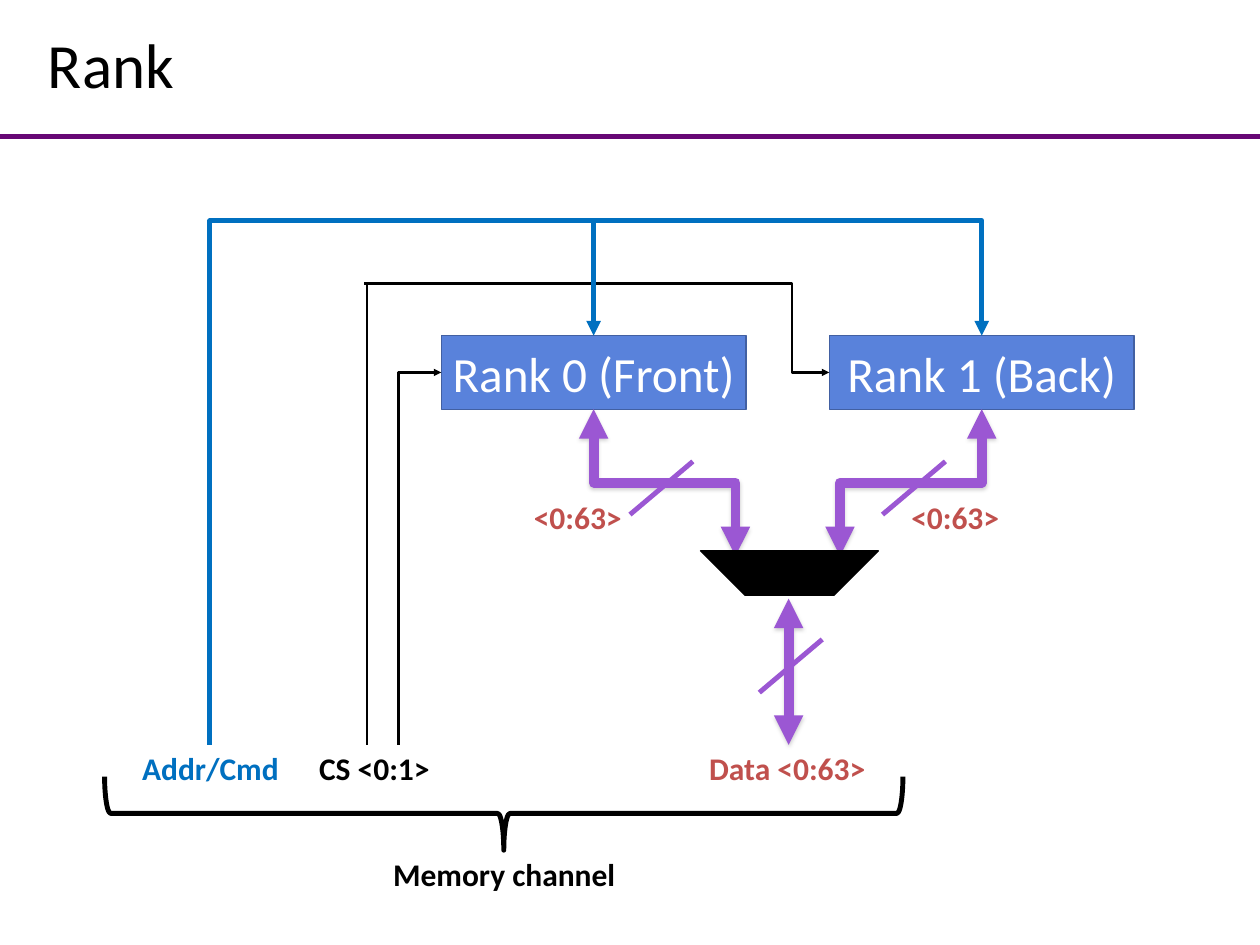
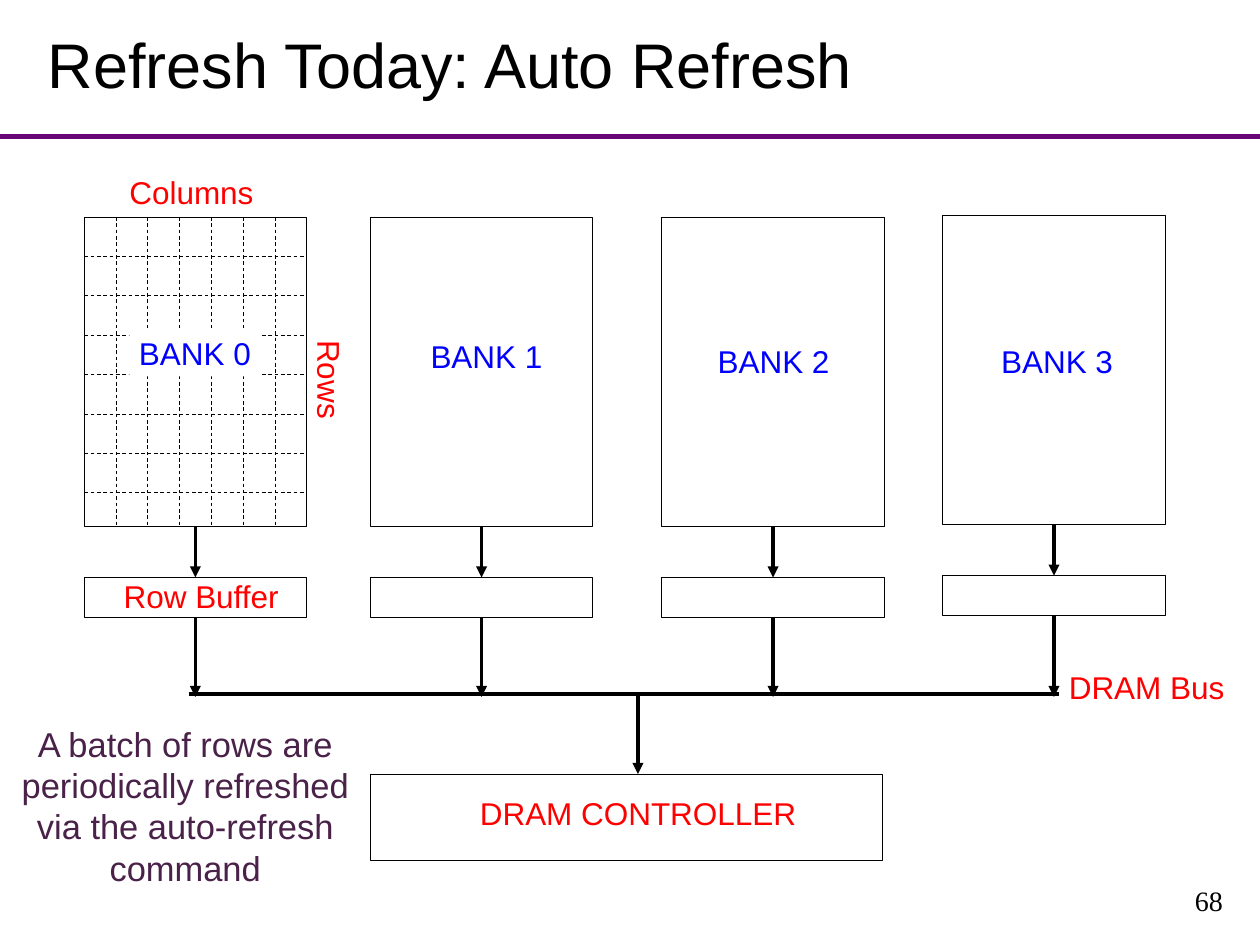
from lxml import etree
from pptx import Presentation
from pptx.dml.color import RGBColor
from pptx.enum.dml import MSO_LINE
from pptx.enum.shapes import MSO_CONNECTOR, MSO_SHAPE
from pptx.enum.text import MSO_ANCHOR, MSO_AUTO_SIZE, PP_ALIGN
from pptx.oxml.ns import qn
from pptx.util import Inches, Pt

STRAIGHT, ELBOW = MSO_CONNECTOR.STRAIGHT, MSO_CONNECTOR.ELBOW
RECTANGLE, STRIPE, BRACE = MSO_SHAPE.RECTANGLE, MSO_SHAPE.DIAGONAL_STRIPE, MSO_SHAPE.RIGHT_BRACE
LEFT, CENTER, RIGHT = PP_ALIGN.LEFT, PP_ALIGN.CENTER, PP_ALIGN.RIGHT
MIDDLE, TOP = MSO_ANCHOR.MIDDLE, MSO_ANCHOR.TOP
NO_FIT = MSO_AUTO_SIZE.NONE
DASH = MSO_LINE.DASH
TOP_SIDE, BOTTOM_SIDE = 0, 2

WIDTH, HEIGHT = 14.22, 10.67
TITLE_AREA = (0.44, 0.13, 13.47, 1.27)
RULE_Y = 1.54

BLACK, WHITE, RED, BLUE = "000000", "FFFFFF", "FF0000", "0000FF"
RULE, PLUM = "670775", "4A2249"
RANK_FILL, RANK_EDGE = "5982DB", "4260A2"
COMMAND, DATA, DATA_LABEL = "0070C0", "9B57D3", "C0504D"

RANK_TEXT = {"name": "Calibri", "size": Pt(40)}
SIGNAL_TEXT = {"name": "Calibri", "size": Pt(25.6), "bold": True}
BANK_TEXT = {"name": "Arial", "size": Pt(25.6)}
NOTE_TEXT = {"name": "Arial", "size": Pt(28)}
NUMBER_TEXT = {"name": "Times New Roman", "size": Pt(22.8)}


def rgb(value):
    return RGBColor.from_string(value)


def inches(lengths):
    return [Inches(length) for length in lengths]


def write(shape, lines, style, color, align=CENTER, anchor=TOP, wrap=True):
    frame = shape.text_frame
    frame.word_wrap = wrap
    frame.vertical_anchor = anchor
    frame.auto_size = NO_FIT
    frame.text = lines
    for para in frame.paragraphs:
        para.alignment = align
        for name, value in style.items():
            setattr(para.font, name, value)
        para.font.color.rgb = rgb(color)


def add_label(page, area, text, style, color, rotation=0, **layout):
    box = page.shapes.add_textbox(*inches(area))
    box.rotation = rotation
    write(box, text, style, color, **layout)


def add_block(page, area, kind=RECTANGLE, fill=None, edge=BLACK, weight=0.75, rotation=0):
    block = page.shapes.add_shape(kind, *inches(area))
    block.shadow.inherit = False
    block.rotation = rotation
    if fill:
        block.fill.solid()
        block.fill.fore_color.rgb = rgb(fill)
    else:
        block.fill.background()
    if edge:
        block.line.color.rgb = rgb(edge)
        block.line.width = Pt(weight)
    else:
        block.line.fill.background()
    return block


def add_effects(connector, shadow):
    effects = etree.SubElement(connector._element.spPr, qn("a:effectLst"))
    if shadow:
        outer = etree.SubElement(effects, qn("a:outerShdw"), blurRad=str(Pt(3.1)),
                                 dist=str(Pt(1.8)), dir="5400000", rotWithShape="0")
        tone = etree.SubElement(outer, qn("a:srgbClr"), val="808080")
        etree.SubElement(tone, qn("a:alpha"), val="35000")


def style_line(connector, color, weight, ends="", dash=None, shadow=False):
    """Format a connector; ends names the arrowheads, such as "head tail"."""
    connector.line.color.rgb = rgb(color)
    connector.line.width = Pt(weight)
    if dash:
        connector.line.dash_style = dash
    for end in ends.split():
        etree.SubElement(connector.line._ln, qn(f"a:{end}End"), type="triangle")
    add_effects(connector, shadow)


def add_line(page, start, stop, color=BLACK, weight=3, source=None, target=None, **look):
    """Draw a straight line, joined to the bottom of source and the top of target."""
    connector = page.shapes.add_connector(STRAIGHT, *inches(start + stop))
    if source:
        connector.begin_connect(source, BOTTOM_SIDE)
    if target:
        connector.end_connect(target, TOP_SIDE)
    style_line(connector, color, weight, **look)
    return connector


def add_elbow(page, start, stop, color, weight, vertical=True, bend=None, **look):
    """Draw a bent line that leaves start vertically, or else to the left.

    bend is the share of the way at which it turns; without it there is one corner.
    """
    (x1, y1), (x2, y2) = start, stop
    across, down = abs(x2 - x1), abs(y2 - y1)
    width, height = (down, across) if vertical else (across, down)
    left, top = (x1 + x2 - width) / 2, (y1 + y2 - height) / 2
    connector = page.shapes.add_connector(
        ELBOW, *inches((left, top, left + width, top + height)))
    if vertical:
        turn = 270 if x2 < x1 else 90
        flips = {"flipH": (turn == 270) == (y2 > y1), "flipV": True}
    else:
        turn, flips = 180, {"flipV": y2 > y1}
    frame = connector._element.spPr.find(qn("a:xfrm"))
    frame.set("rot", str(turn * 60000))
    for name, flipped in flips.items():
        frame.set(name, str(int(flipped)))
    outline = connector._element.spPr.find(qn("a:prstGeom"))
    if bend is None:
        outline.set("prst", "bentConnector2")
    else:
        guides = outline.find(qn("a:avLst"))
        etree.SubElement(guides, qn("a:gd"), name="adj1", fmla=f"val {round(bend * 100000)}")
    style_line(connector, color, weight, **look)


def prepare_layout(deck):
    """Place the title and the purple rule once, on the layout of all slides."""
    layout = deck.slide_layouts[5]
    title = layout.placeholders[0]
    title.left, title.top, title.width, title.height = inches(TITLE_AREA)
    return layout


def move_rule_to_layout(page, layout):
    rule = add_line(page, (0, RULE_Y), (WIDTH, RULE_Y), RULE, 4.5)
    layout.shapes._spTree.append(rule._element)


def add_page(deck, layout, title, font):
    page = deck.slides.add_slide(layout)
    write(page.shapes.title, title, {"name": font, "size": Pt(51.2)}, BLACK, LEFT, MIDDLE)
    page.shapes.title.text_frame.paragraphs[0].line_spacing = 0.9
    return page


def build_rank_page(page):
    rank_top, rank_width, rank_height = 3.79, 3.44, 0.83
    rank_bottom, rank_middle = rank_top + rank_height, rank_top + rank_height / 2
    signal_y, mux_y, command_y, select_y = 8.41, 6.28, 2.49, 3.2
    rank_lefts = (4.98, 9.36)
    front, back = [left + rank_width / 2 for left in rank_lefts]

    for left, name in zip(rank_lefts, ("Rank 0 (Front)", "Rank 1 (Back)")):
        rank = add_block(page, (left, rank_top, rank_width, rank_height),
                         fill=RANK_FILL, edge=RANK_EDGE, weight=1)
        write(rank, name, RANK_TEXT, WHITE, anchor=MIDDLE)

    data_look = {"color": DATA, "weight": 8, "ends": "head tail", "shadow": True}
    add_line(page, (8.9, signal_y), (8.9, 6.76), **data_look)

    add_elbow(page, (rank_lefts[0], rank_middle), (4.5, signal_y), BLACK, 2,
              vertical=False, ends="head")
    add_elbow(page, (rank_lefts[1], rank_middle), (4.11, select_y), BLACK, 2,
              vertical=False, bend=0.08, ends="head")
    add_line(page, (4.14, select_y), (4.14, signal_y), weight=2)

    add_elbow(page, (front, rank_top), (2.37, signal_y), COMMAND, 4,
              bend=(command_y - rank_top) / (signal_y - rank_top), ends="head")
    add_elbow(page, (back, rank_top), (6.64, command_y), COMMAND, 4, ends="head")

    for port, rank_x in ((8.3, front), (9.48, back)):
        add_elbow(page, (port, mux_y), (rank_x, rank_bottom), bend=0.5, **data_look)
    add_block(page, (8.2, 5.51, 1.42, 1.42), STRIPE, fill=BLACK, weight=1, rotation=225)

    for x, y in ((8.57, 7.82), (7.11, 5.81), (9.96, 5.81)):
        add_line(page, (x, y), (x + 0.71, y - 0.6), DATA, 4)

    add_block(page, (5.27, 4.68, 0.83, 9.01), BRACE, weight=4, rotation=90)
    for left, top, width, text, color in (
            (7.7, signal_y, 2.37, "Data <0:63>", DATA_LABEL),
            (3.04, signal_y, 2.37, "CS <0:1>", BLACK),
            (1.19, signal_y, 2.37, "Addr/Cmd", COMMAND),
            (10.07, 5.57, 1.42, "<0:63>", DATA_LABEL),
            (5.81, 5.57, 1.42, "<0:63>", DATA_LABEL),
            (4.15, 9.6, 3.08, "Memory channel", BLACK)):
        add_label(page, (left, top, width, 0.53), text, SIGNAL_TEXT, color)


def add_cell_grid(page, left, top, width, height):
    for row in range(1, 8):
        y = top + 0.445 * row
        add_line(page, (left, y), (left + width, y), weight=0.75, dash=DASH)
    for column in range(1, 7):
        x = left + 0.36 * column
        add_line(page, (x, top), (x, top + height), weight=0.75, dash=DASH)


def build_refresh_page(page):
    bank_width, bank_height, buffer_drop, bus_y = 2.51, 3.49, 4.07, 7.84
    banks = ((0.95, 2.45, 1.46, 3.72), (4.18, 2.45, 4.75, 3.76),
             (7.47, 2.45, 7.99, 3.81), (10.64, 2.43, 11.19, 3.81))

    for number, (left, top, name_left, name_top) in enumerate(banks):
        bank = add_block(page, (left, top, bank_width, bank_height))
        row_buffer = add_block(page, (left, top + buffer_drop, bank_width, 0.45))
        if number == 0:
            add_cell_grid(page, left, top, bank_width, bank_height)
        middle = left + bank_width / 2
        add_line(page, (middle, top + bank_height), (middle, top + buffer_drop),
                 source=bank, target=row_buffer, ends="tail")
        add_line(page, (middle, top + buffer_drop + 0.45), (middle, bus_y + 0.03),
                 source=row_buffer, ends="tail")
        name = add_block(page, (name_left, name_top, 1.48, 0.53), fill=WHITE, edge=None)
        write(name, f"BANK {number}", BANK_TEXT, BLUE, wrap=False)

    add_line(page, (2.13, bus_y), (11.95, bus_y))
    add_line(page, (7.2, bus_y), (7.2, 8.74), ends="tail")
    add_block(page, (4.18, 8.74, 5.78, 0.98))

    for left, top, width, text, rotation in (
            (1.35, 1.91, 1.62, "Columns", 0),
            (3.17, 4.02, 1.1, "Rows", 90),
            (1.28, 6.47, 1.98, "Row Buffer", 0),
            (5.29, 8.92, 3.82, "DRAM CONTROLLER", 0),
            (11.95, 7.49, 1.98, "DRAM Bus", 0)):
        add_label(page, (left, top, width, 0.53), text, BANK_TEXT, RED, rotation, wrap=False)

    add_label(page, (0, 8.11, 4.18, 1.99),
              "A batch of rows are\nperiodically refreshed\nvia the auto-refresh command",
              NOTE_TEXT, PLUM)
    add_label(page, (10.7, 9.88, 3.2, 0.57), "68", NUMBER_TEXT, BLACK,
              align=RIGHT, anchor=MIDDLE)


def main():
    deck = Presentation()
    deck.slide_width, deck.slide_height = inches((WIDTH, HEIGHT))
    layout = prepare_layout(deck)
    rank_page = add_page(deck, layout, "Rank", "Calibri")
    move_rule_to_layout(rank_page, layout)
    build_rank_page(rank_page)
    build_refresh_page(add_page(deck, layout, "Refresh Today: Auto Refresh", "Arial"))
    deck.save("out.pptx")


if __name__ == "__main__":
    main()
